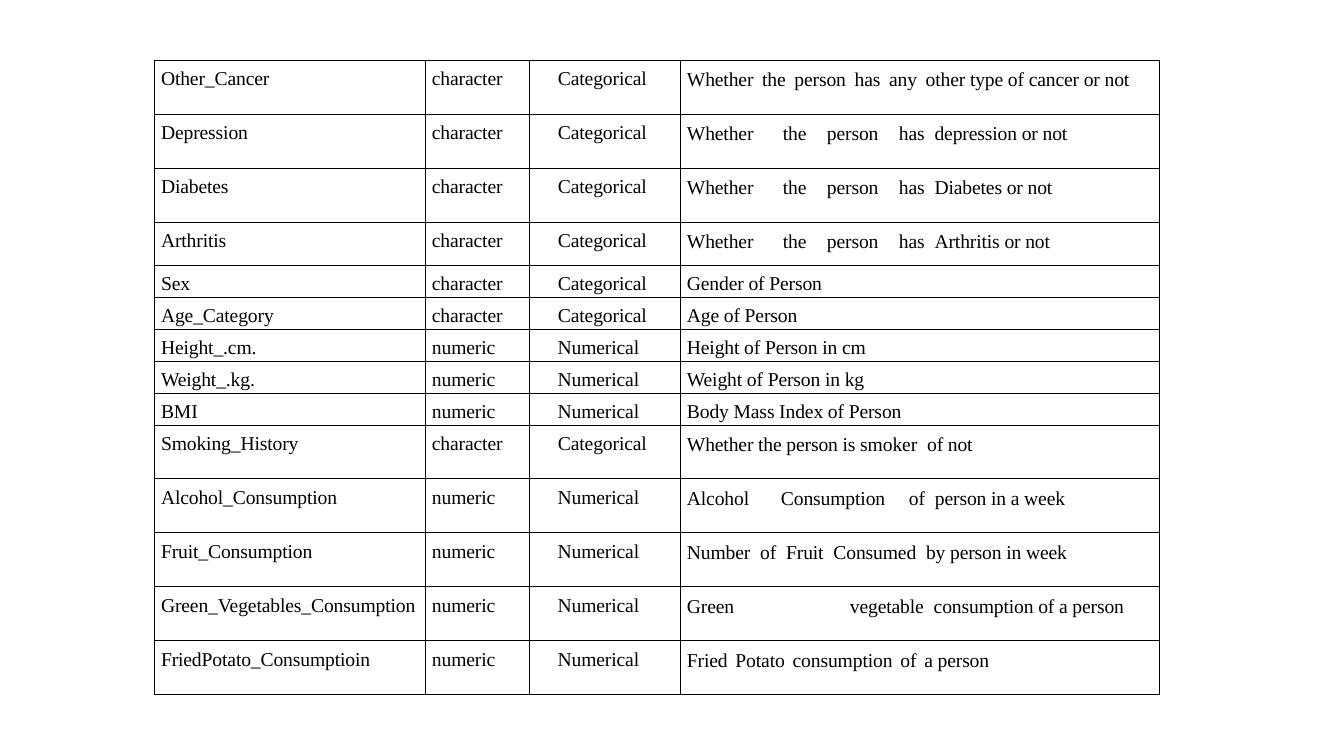
import itertools
from dataclasses import dataclass

import lxml.etree
import pptx
import pptx.dml.color
import pptx.enum.text
import pptx.oxml
import pptx.oxml.ns
import pptx.table
import pptx.text.text
import pptx.util

EMU_PER_PX = 914400 / 100.8


@dataclass(frozen=True)
class Theme:
    font: str = "Times New Roman"
    ink: str = "000000"
    text_pt: float = 14
    line_pt: float = 16.1
    border_pt: float = 0.5
    tracking_pt: float = -0.1


@dataclass(frozen=True)
class Variable:
    """One table row; "~" in the description is a space widened by gap_pt."""
    name: str
    storage: str
    scale: str
    description: str
    height: int
    gap_pt: float = 3.5
    tabs: tuple[int, ...] = ()


THEME = Theme()
SLIDE_WIDTH, SLIDE_HEIGHT = 1344, 756
TABLE_LEFT, TABLE_TOP = 154, 60
COLUMN_WIDTHS = (271, 104, 151, 479)
TALL, MEDIUM, SHORT = 54, 43, 32
CELL_INSET = 7
SCALE_RIGHT_INSET = {"Categorical": 4, "Numerical": 12}
WHETHER_TABS = (96, 140, 212)

VARIABLES = (
    Variable("Other_Cancer", "character", "Categorical",
             "Whether~the~person~has~any~other type of cancer or not", TALL, gap_pt=2.6),
    Variable("Depression", "character", "Categorical",
             "Whether\tthe\tperson\thas~depression or not", TALL, tabs=WHETHER_TABS),
    Variable("Diabetes", "character", "Categorical",
             "Whether\tthe\tperson\thas~Diabetes or not", TALL, tabs=WHETHER_TABS),
    Variable("Arthritis", "character", "Categorical",
             "Whether\tthe\tperson\thas~Arthritis or not", MEDIUM, tabs=WHETHER_TABS),
    Variable("Sex", "character", "Categorical", "Gender of Person", SHORT),
    Variable("Age_Category", "character", "Categorical", "Age of Person", SHORT),
    Variable("Height_.cm.", "numeric", "Numerical", "Height of Person in cm", SHORT),
    Variable("Weight_.kg.", "numeric", "Numerical", "Weight of Person in kg", SHORT),
    Variable("BMI", "numeric", "Numerical", "Body Mass Index of Person", SHORT),
    Variable("Smoking_History", "character", "Categorical",
             "Whether the person is smoker~of not", TALL),
    Variable("Alcohol_Consumption", "numeric", "Numerical",
             "Alcohol\tConsumption\tof~person in a week", TALL, tabs=(94, 222)),
    Variable("Fruit_Consumption", "numeric", "Numerical",
             "Number~of~Fruit~Consumed~by person in week", TALL, gap_pt=3.4),
    Variable("Green_Vegetables_Consumption", "numeric", "Numerical",
             "Green\tvegetable~consumption of a person", TALL, tabs=(163,)),
    Variable("FriedPotato_Consumptioin", "numeric", "Numerical",
             "Fried~Potato~consumption~of~a person", TALL, gap_pt=2.0),
)


def px(length: int) -> pptx.util.Emu:
    return pptx.util.Emu(round(length * EMU_PER_PX))


def add_span(para: pptx.text.text._Paragraph, text: str, tracking_pt: float) -> None:
    span = para.add_run()
    span.text = text
    span.font.name = THEME.font
    span.font.size = pptx.util.Pt(THEME.text_pt)
    span.font.color.rgb = pptx.dml.color.RGBColor.from_string(THEME.ink)
    span._r.get_or_add_rPr().set("spc", str(round(tracking_pt * 100)))


def write_text(para: pptx.text.text._Paragraph, text: str, gap_pt: float) -> None:
    """Write text as spans, with each "~" as a widened space."""
    para.line_spacing = pptx.util.Pt(THEME.line_pt)
    for wide, letters in itertools.groupby(text, lambda letter: letter == "~"):
        if wide:
            add_span(para, " ", gap_pt)
        else:
            add_span(para, "".join(letters), THEME.tracking_pt)


def set_tabs(para: pptx.text.text._Paragraph, stops: tuple[int, ...]) -> None:
    properties = para._p.get_or_add_pPr()
    tab_list = lxml.etree.SubElement(properties, pptx.oxml.ns.qn("a:tabLst"))
    for stop in stops:
        lxml.etree.SubElement(tab_list, pptx.oxml.ns.qn("a:tab"), pos=str(px(stop)), algn="l")


def outline_cell(cell: pptx.table._Cell) -> None:
    cell.fill.background()
    properties = cell._tc.get_or_add_tcPr()
    width = pptx.util.Pt(THEME.border_pt)
    for index, side in enumerate("LRTB"):
        properties.insert(index, pptx.oxml.parse_xml(
            f'<a:ln{side} {pptx.oxml.ns.nsdecls("a")} w="{width}">'
            f'<a:solidFill><a:srgbClr val="{THEME.ink}"/></a:solidFill></a:ln{side}>'))


def fill_row(table: pptx.table.Table, row: int, variable: Variable) -> None:
    table.rows[row].height = px(variable.height)
    texts = (variable.name, variable.storage, variable.scale, variable.description)
    for column, text in enumerate(texts):
        cell = table.cell(row, column)
        cell.margin_left = cell.margin_top = px(CELL_INSET)
        cell.margin_right = cell.margin_bottom = 0
        para = cell.text_frame.paragraphs[0]
        write_text(para, text, variable.gap_pt)
        outline_cell(cell)
    scale_cell, description_cell = table.cell(row, 2), table.cell(row, 3)
    scale_cell.margin_left = 0
    scale_cell.margin_right = px(SCALE_RIGHT_INSET[variable.scale])
    scale_cell.text_frame.paragraphs[0].alignment = pptx.enum.text.PP_ALIGN.CENTER
    if variable.height != SHORT:
        description_cell.margin_top = px(CELL_INSET + 1)
    if variable.tabs:
        set_tabs(description_cell.text_frame.paragraphs[0], variable.tabs)


def main() -> None:
    deck = pptx.Presentation()
    deck.slide_width, deck.slide_height = px(SLIDE_WIDTH), px(SLIDE_HEIGHT)
    page = deck.slides.add_slide(deck.slide_layouts[6])
    table_height = sum(variable.height for variable in VARIABLES)
    table = page.shapes.add_table(
        len(VARIABLES), len(COLUMN_WIDTHS), px(TABLE_LEFT), px(TABLE_TOP),
        px(sum(COLUMN_WIDTHS)), px(table_height)).table
    table.first_row = table.horz_banding = False
    for column, width in zip(table.columns, COLUMN_WIDTHS):
        column.width = px(width)
    for row, variable in enumerate(VARIABLES):
        fill_row(table, row, variable)
    deck.save("out.pptx")


if __name__ == "__main__":
    main()
